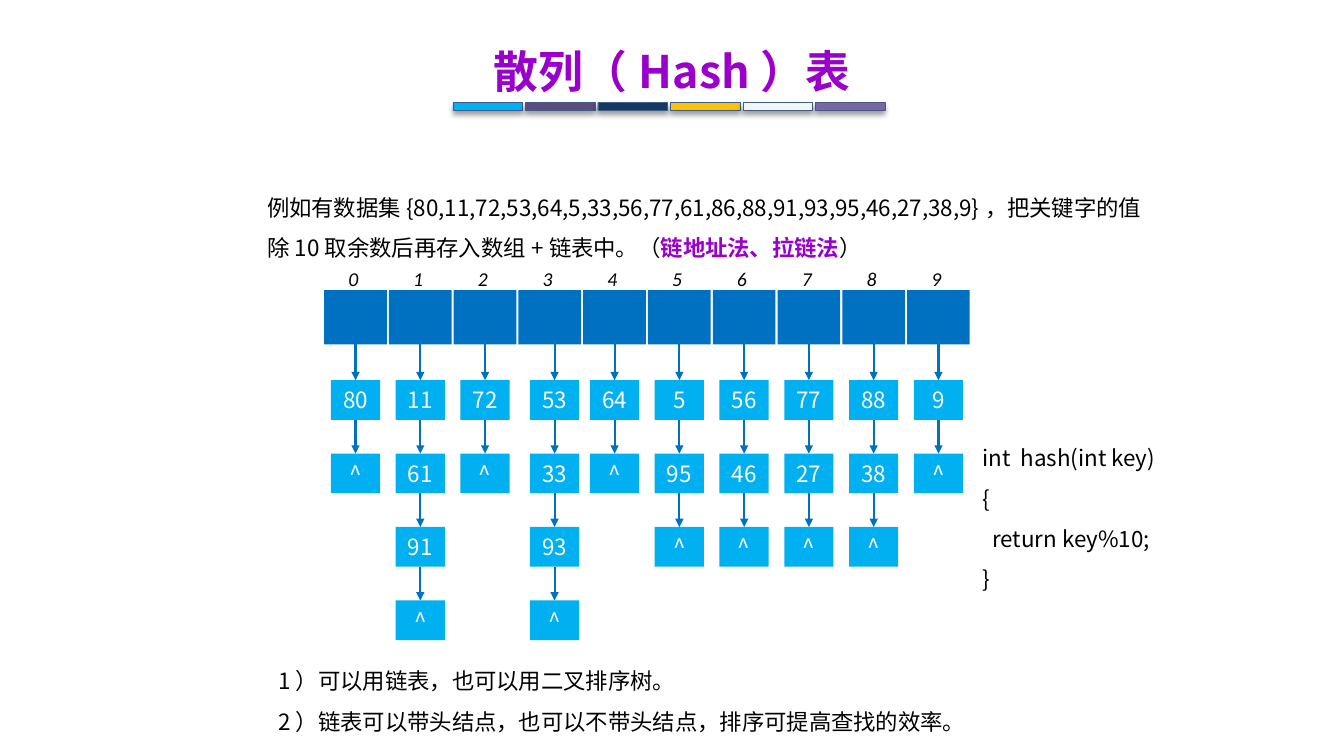
from lxml import etree
from pptx import Presentation
from pptx.dml.color import RGBColor
from pptx.enum.shapes import MSO_CONNECTOR, MSO_SHAPE
from pptx.enum.text import MSO_ANCHOR, MSO_AUTO_SIZE, PP_ALIGN
from pptx.oxml.ns import qn
from pptx.util import Cm, Pt

RECTANGLE = MSO_SHAPE.RECTANGLE
STRAIGHT = MSO_CONNECTOR.STRAIGHT
CENTER = PP_ALIGN.CENTER
MIDDLE = MSO_ANCHOR.MIDDLE
GROW = MSO_AUTO_SIZE.SHAPE_TO_FIT_TEXT

CJK_FONT = "Noto Sans CJK SC"
LATIN_FONT = "Calibri"
BLACK, WHITE, PURPLE = "000000", "FFFFFF", "9900CC"
DARK_BLUE, LIGHT_BLUE, BAR_EDGE = "0070C0", "00B0F0", "3A5F8C"
BAR_COLORS = [LIGHT_BLUE, "604A7B", "17375E", "FFC000", "F5F4ED", "8064A2"]

END = "^"
CHAINS = [
    ["80"], ["11", "61", "91"], ["72"], ["53", "33", "93"], ["64"],
    ["5", "95"], ["56", "46"], ["77", "27"], ["88", "38"], ["9"],
]
CHAIN_SHIFT = {3: 0.12}
CELL_WIDTH, CELL_HEIGHT = 1.58, 1.37
NODE_WIDTH, NODE_HEIGHT, NODE_PITCH = 1.24, 1.0, 1.85
ARRAY_TO_NODES = 2.27


def color(hex_string):
    return RGBColor.from_string(hex_string)


def format_run(run, size, hex_color, font=CJK_FONT, bold=False, italic=False):
    run.font.size = Pt(size)
    run.font.name = font
    run.font.bold = bold
    run.font.italic = italic
    run.font.color.rgb = color(hex_color)
    east_asian = etree.SubElement(run.font._element, qn("a:ea"))
    east_asian.set("typeface", font)


def add_rectangle(slide, left, top, width, height, fill):
    shape = slide.shapes.add_shape(
        RECTANGLE, Cm(left), Cm(top), Cm(width), Cm(height))
    shape.shadow.inherit = False
    shape.fill.solid()
    shape.fill.fore_color.rgb = color(fill)
    shape.line.fill.background()
    return shape


def add_drop_shadow(shape):
    effects = shape._element.spPr.find(qn("a:effectLst"))
    shadow = etree.SubElement(
        effects, qn("a:outerShdw"), blurRad=str(Pt(4)), dist=str(Pt(3)),
        dir="5400000", rotWithShape="0")
    shadow_color = etree.SubElement(shadow, qn("a:srgbClr"), val=BLACK)
    etree.SubElement(shadow_color, qn("a:alpha"), val="40000")


def add_arrow(slide, x, top, bottom):
    arrow = slide.shapes.add_connector(
        STRAIGHT, Cm(x), Cm(top), Cm(x), Cm(bottom))
    arrow.line.color.rgb = color(DARK_BLUE)
    arrow.line.width = Pt(1.5)
    etree.SubElement(arrow.line._get_or_add_ln(), qn("a:tailEnd"), type="triangle")
    etree.SubElement(arrow._element.spPr, qn("a:effectLst"))


def add_text_box(slide, left, top, width, height, wrap=True):
    box = slide.shapes.add_textbox(Cm(left), Cm(top), Cm(width), Cm(height))
    box.text_frame.word_wrap = wrap
    box.text_frame.auto_size = GROW
    return box.text_frame


def add_lines(slide, left, top, width, height, lines, size=16,
              hex_color=BLACK, bold=False):
    """Write one paragraph per line at 1.5 line spacing."""
    frame = add_text_box(slide, left, top, width, height)
    frame.text = "\n".join(lines)
    for paragraph in frame.paragraphs:
        paragraph.line_spacing = 1.5
        for run in paragraph.runs:
            format_run(run, size, hex_color, bold=bold)
    return frame


def add_title(slide, left, top, width, height):
    frame = add_lines(slide, left, top, width, height, ["散列（Hash）表"],
                      size=32, hex_color=PURPLE, bold=True)
    frame.paragraphs[0].alignment = CENTER


def add_color_bars(slide, left, top, width, height):
    gap = 0.07
    bar_width = (width + gap) / len(BAR_COLORS) - gap
    for index, fill in enumerate(BAR_COLORS):
        bar = add_rectangle(
            slide, left + index * (bar_width + gap), top, bar_width, height, fill)
        bar.line.color.rgb = color(BAR_EDGE)
        bar.line.width = Pt(0.25)
        add_drop_shadow(bar)


def add_introduction(slide, left, top, width, height):
    frame = add_text_box(slide, left, top, width, height)
    paragraph = frame.paragraphs[0]
    paragraph.line_spacing = 1.5
    parts = [
        ("例如有数据集{80,11,72,53,64,5,33,56,77,61,86,88,91,93,95,46,27,38,9}，"
         "把关键字的值除10取余数后再存入数组+链表中。（", BLACK, False),
        ("链地址法、拉链法", PURPLE, True),
        ("）", BLACK, False),
    ]
    for text, hex_color, bold in parts:
        run = paragraph.add_run()
        run.text = text
        format_run(run, 16, hex_color, bold=bold)


def add_index(slide, left, top, index):
    frame = add_text_box(slide, left, top, 0.76, 0.86, wrap=False)
    frame.text = str(index)
    format_run(frame.paragraphs[0].runs[0], 14, BLACK, LATIN_FONT, italic=True)


def add_chain(slide, center, top, keys):
    """Hang the keys and the end mark below an array cell that ends at top."""
    arrow_top = top
    for row, key in enumerate(keys + [END]):
        node_top = top - CELL_HEIGHT + ARRAY_TO_NODES + row * NODE_PITCH
        add_arrow(slide, center, arrow_top, node_top)
        node = add_rectangle(slide, center - NODE_WIDTH / 2, node_top,
                             NODE_WIDTH, NODE_HEIGHT, LIGHT_BLUE)
        frame = node.text_frame
        frame.text = key
        frame.vertical_anchor = MIDDLE
        frame.paragraphs[0].alignment = CENTER
        format_run(frame.paragraphs[0].runs[0], 16, WHITE)
        arrow_top = node_top + NODE_HEIGHT


def add_hash_table(slide, left, top, width):
    pitch = (width - CELL_WIDTH) / (len(CHAINS) - 1)
    for index, keys in enumerate(CHAINS):
        cell_left = left + index * pitch
        add_rectangle(slide, cell_left, top, CELL_WIDTH, CELL_HEIGHT, DARK_BLUE)
        add_index(slide, cell_left + 0.36, top - 0.71, index)
        center = cell_left + CELL_WIDTH / 2 + CHAIN_SHIFT.get(index, 0)
        add_chain(slide, center, top + CELL_HEIGHT, keys)


def add_hash_function(slide, left, top, width, height):
    frame = add_lines(slide, left, top, width, height, [
        "int  hash(int key)", "{", "return key%10;", "}"])
    body = frame.paragraphs[2]
    body._p.get_or_add_pPr().set("marL", str(Cm(0.25)))


def add_notes_on_chains(slide, left, top, width, height):
    add_lines(slide, left, top, width, height, [
        "1）可以用链表，也可以用二叉排序树。",
        "2）链表可以带头结点，也可以不带头结点，排序可提高查找的效率。",
    ])


def main():
    presentation = Presentation()
    presentation.slide_width = Cm(33.87)
    presentation.slide_height = Cm(19.05)
    slide = presentation.slides.add_slide(presentation.slide_layouts[6])
    add_title(slide, 0, 0.3, 33.87, 2.31)
    add_color_bars(slide, 11.41, 2.58, 10.89, 0.2)
    add_introduction(slide, 6.48, 4.42, 22.89, 2.31)
    add_hash_table(slide, 8.17, 7.31, 16.27)
    add_notes_on_chains(slide, 6.76, 16.36, 22.89, 2.31)
    add_hash_function(slide, 24.51, 10.74, 5.94, 4.37)
    presentation.save("out.pptx")


if __name__ == "__main__":
    main()
